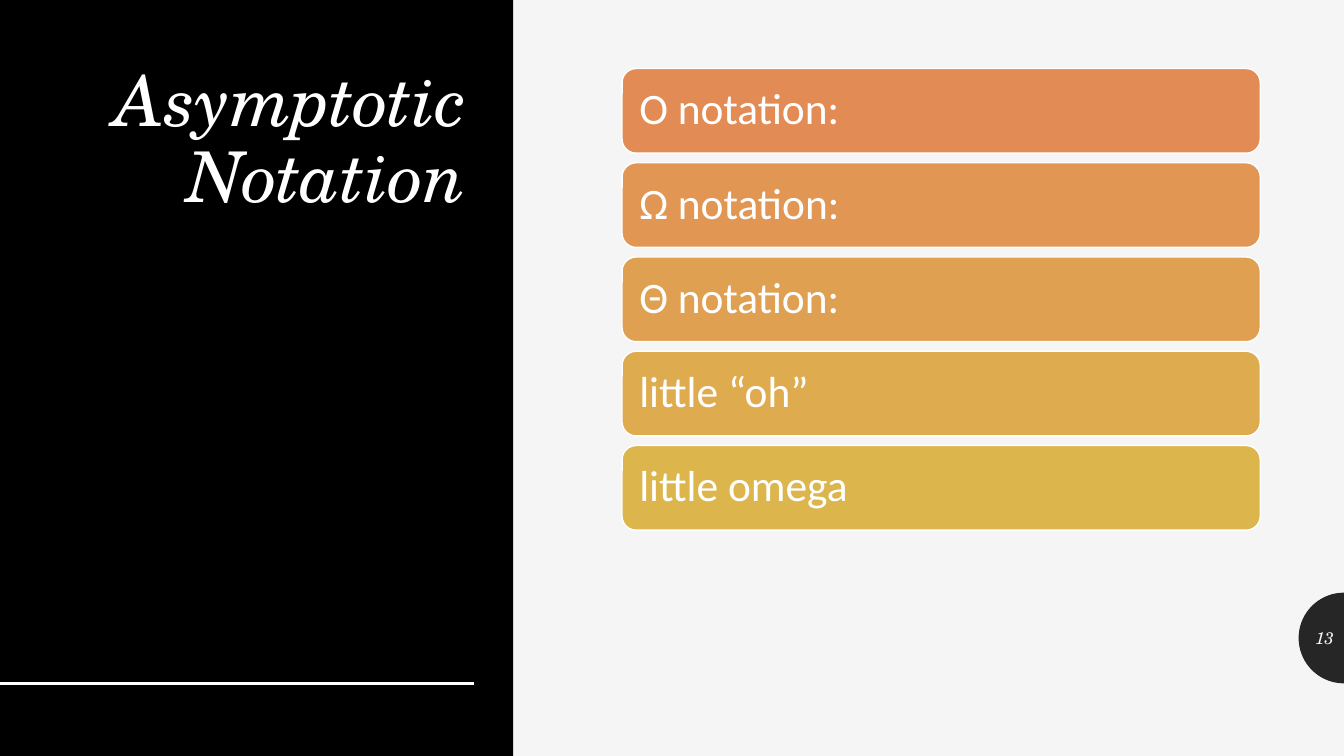
import math

import lxml.etree
import pptx
import pptx.dml.color
import pptx.enum.shapes
import pptx.enum.text
import pptx.oxml.ns
import pptx.util

Inches = pptx.util.Inches
Pt = pptx.util.Pt
ALIGN = pptx.enum.text.PP_ALIGN
ANCHOR = pptx.enum.text.MSO_ANCHOR
SHAPE = pptx.enum.shapes.MSO_SHAPE

COLORS = {
    "background": "F5F5F5",
    "panel": "000000",
    "badge": "262626",
    "white": "FFFFFF",
    "big_o": "E28B55",
    "big_omega": "E19653",
    "theta": "DFA051",
    "little_oh": "DEAB4F",
    "little_omega": "DCB64D",
}
NOTATIONS = [
    ("O notation:", "big_o"),
    ("Ω notation:", "big_omega"),
    ("Θ notation:", "theta"),
    ("little “oh”", "little_oh"),
    ("little omega", "little_omega"),
]
SERIF = "TeX Gyre Schola"
SLIDE_W, SLIDE_H = 13.33, 7.5
BAR_TOP, BAR_BOTTOM_TOP = 0.68, 4.42
BAR_STEP = (BAR_BOTTOM_TOP - BAR_TOP) / (len(NOTATIONS) - 1)


def rgb(name):
    return pptx.dml.color.RGBColor.from_string(COLORS[name])


def apply(obj, values):
    for key, value in values.items():
        setattr(obj, key, value)


def paint(sp, fill, line=None):
    sp.shadow.inherit = False
    sp.fill.solid()
    sp.fill.fore_color.rgb = rgb(fill)
    if line:
        sp.line.color.rgb = rgb(line)
        sp.line.width = Pt(1)
    else:
        sp.line.fill.background()


def write(sp, text, color, font, paragraph, frame):
    tf = sp.text_frame
    apply(tf, {"word_wrap": True, **frame})
    p = tf.paragraphs[0]
    apply(p, paragraph)
    r = p.add_run()
    r.text = text
    apply(r.font, font)
    r.font.color.rgb = rgb(color)


def add_box(s, shape, box, fill, line=None):
    sp = s.shapes.add_shape(shape, *map(Inches, box))
    paint(sp, fill, line)
    return sp


def add_title(s, panel):
    title = s.shapes.title
    panel.element.addnext(title.element)
    apply(title, {"left": Inches(0.83), "top": Inches(0.61),
                  "width": Inches(3.9), "height": Inches(5.42)})
    write(title, "Asymptotic Notation", "white",
          {"name": SERIF, "size": Pt(50), "italic": True},
          {"alignment": ALIGN.RIGHT, "line_spacing": 0.9},
          {"vertical_anchor": ANCHOR.TOP,
           "auto_size": pptx.enum.text.MSO_AUTO_SIZE.NONE})


def add_rule(s):
    line = s.shapes.add_connector(
        pptx.enum.shapes.MSO_CONNECTOR.STRAIGHT,
        Inches(0), Inches(6.78), Inches(4.7), Inches(6.78))
    line.line.color.rgb = rgb("white")
    line.line.width = Pt(2)
    sp_pr = line.element.find(pptx.oxml.ns.qn("p:spPr"))
    lxml.etree.SubElement(sp_pr, pptx.oxml.ns.qn("a:effectLst"))


def add_badge(s):
    radius, mid = 0.45, 6.33
    angles = [math.radians(90 + 5 * i) for i in range(37)]
    points = [(Inches(SLIDE_W + radius * math.cos(a)),
               Inches(mid + radius * math.sin(a))) for a in angles]
    builder = s.shapes.build_freeform(*points[0])
    builder.add_line_segments(points[1:], close=True)
    paint(builder.convert_to_shape(), "badge")
    number = s.shapes.add_textbox(
        Inches(12.88), Inches(6.13), Inches(0.45), Inches(0.4))
    write(number, "13", "background",
          {"name": SERIF, "size": Pt(12), "italic": True},
          {"alignment": ALIGN.RIGHT},
          {"vertical_anchor": ANCHOR.MIDDLE})


def add_bar(s, index, text, fill):
    top = BAR_TOP + index * BAR_STEP
    bar = add_box(s, SHAPE.ROUNDED_RECTANGLE,
                  (6.17, top, 6.33, 0.84), fill, "white")
    margins = {f"margin_{side}": Inches(0.13)
               for side in ("left", "top", "right", "bottom")}
    write(bar, text, "white", {"name": "Calibri", "size": Pt(31)},
          {"alignment": ALIGN.LEFT, "line_spacing": 0.9},
          {"vertical_anchor": ANCHOR.MIDDLE, **margins})


def main():
    prs = pptx.Presentation()
    apply(prs, {"slide_width": Inches(SLIDE_W),
                "slide_height": Inches(SLIDE_H)})
    s = prs.slides.add_slide(prs.slide_layouts[5])
    s.background.fill.solid()
    s.background.fill.fore_color.rgb = rgb("background")
    panel = add_box(s, SHAPE.RECTANGLE, (0, 0, 5.09, SLIDE_H), "panel")
    add_title(s, panel)
    add_badge(s)
    add_rule(s)
    for index, (text, fill) in enumerate(NOTATIONS):
        add_bar(s, index, text, fill)
    prs.save("out.pptx")


if __name__ == "__main__":
    main()
